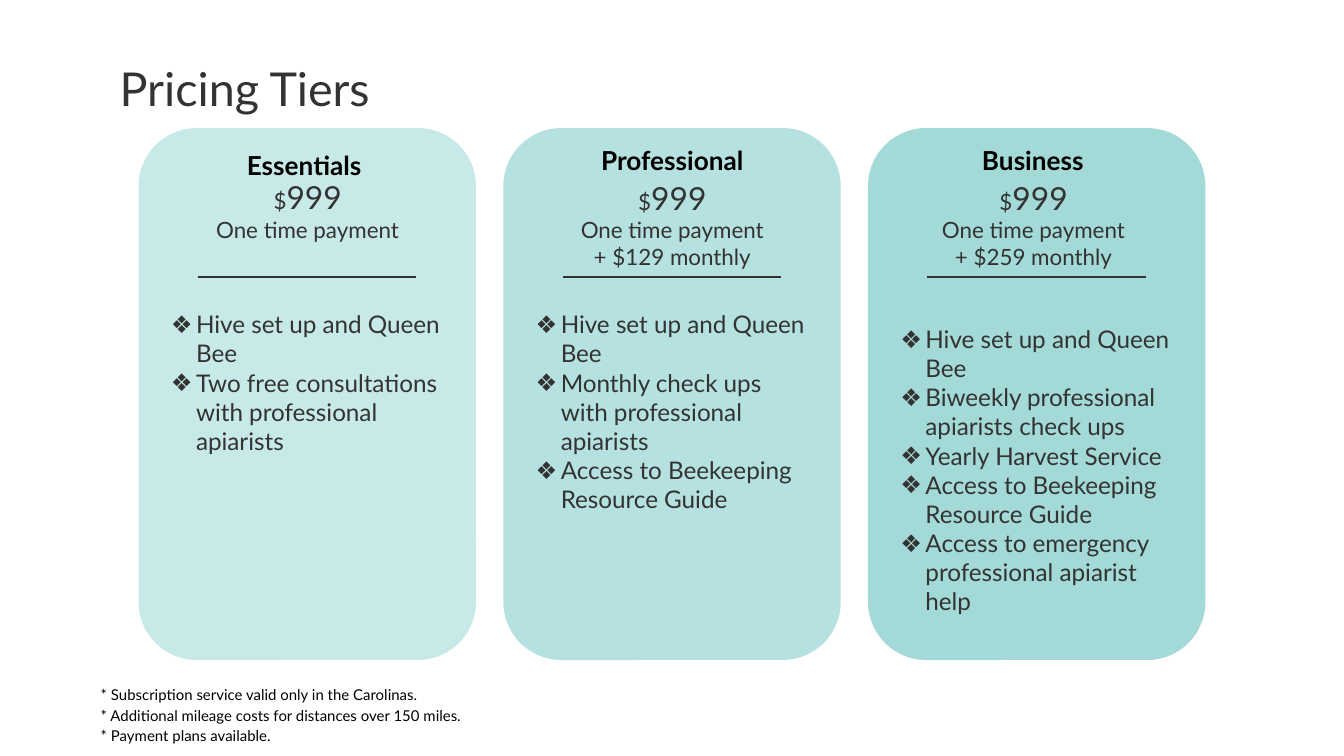
from dataclasses import dataclass

from lxml.etree import SubElement
from pptx import Presentation
from pptx.dml.color import RGBColor
from pptx.enum.shapes import MSO_CONNECTOR, MSO_SHAPE
from pptx.enum.text import MSO_ANCHOR, MSO_AUTO_SIZE, PP_ALIGN
from pptx.oxml.ns import qn
from pptx.util import Pt

PX = 4762.5
FONT = "Lato"
INK = "333333"
BLACK = "000000"
MARGIN = 19
CARD_LEFT, CARD_TOP, CARD_W, CARD_H = 202, 187, 474, 752
CARD_STEP = 521
BULLET_MARGIN, BULLET_INDENT = 36, -42


@dataclass
class Tier:
    """One pricing card; offsets are from the card's corner."""
    name: str
    name_at: tuple[int, int]
    price_at: tuple[int, int]
    terms: list[str]
    fill: str
    features_top: int
    features: list[str]


TIERS = [
    Tier("Essentials", (71, 7), (80, 48), ["One time payment"], "C7EAE8", 232,
         ["Hive set up and Queen Bee",
          "Two free consultations with professional apiarists"]),
    Tier("Professional", (76, 0), (80, 49), ["One time payment", "+ $129 monthly"],
         "B6E1E1", 232,
         ["Hive set up and Queen Bee",
          "Monthly check ups with professional apiarists",
          "Access to Beekeeping Resource Guide"]),
    Tier("Business", (70, 0), (75, 49), ["One time payment", "+ $259 monthly"],
         "A3DAD8", 253,
         ["Hive set up and Queen Bee",
          "Biweekly professional apiarists check ups",
          "Yearly Harvest Service",
          "Access to Beekeeping Resource Guide",
          "Access to emergency professional apiarist help"]),
]
FOOTNOTES = [
    "* Subscription service valid only in the Carolinas.",
    "* Additional mileage costs for distances over 150 miles.",
    "* Payment plans available.",
]


def px(*lengths: int) -> list[int]:
    """Turn px into EMU."""
    return [round(n * PX) for n in lengths]


def rgb(value: str) -> RGBColor:
    """Turn a hex string into a colour."""
    return RGBColor.from_string(value)


def set_frame(tf, top: int = MARGIN) -> None:
    """Wrap and top-anchor a text frame with equal margins."""
    tf.word_wrap = True
    tf.auto_size = MSO_AUTO_SIZE.NONE
    tf.vertical_anchor = MSO_ANCHOR.TOP
    tf.margin_left, tf.margin_right, tf.margin_top, tf.margin_bottom = px(
        MARGIN, MARGIN, top, MARGIN)


def set_font(r, size: int, color: str, bold: bool = False) -> None:
    """Format one run."""
    r.font.name, r.font.size, r.font.bold = FONT, Pt(size), bold
    r.font.color.rgb = rgb(color)


def set_text(tf, lines: list[str], size: int, color: str, bold: bool = False,
             align=PP_ALIGN.LEFT) -> None:
    """Write one paragraph per line and format its runs."""
    tf.text = "\n".join(lines)
    for p in tf.paragraphs:
        p.alignment = align
        for r in p.runs:
            set_font(r, size, color, bold)


def add_box(s, x: int, y: int, w: int, h: int):
    """Add a text box and return its frame."""
    tf = s.shapes.add_textbox(*px(x, y, w, h)).text_frame
    set_frame(tf)
    return tf


def add_bullet(p) -> None:
    """Give a paragraph a hanging diamond bullet."""
    pPr = p._p.get_or_add_pPr()
    margin, indent = px(BULLET_MARGIN, BULLET_INDENT)
    pPr.set("marL", str(margin))
    pPr.set("indent", str(indent))
    color = SubElement(pPr, qn("a:buClr"))
    SubElement(color, qn("a:srgbClr"), val=INK)
    SubElement(pPr, qn("a:buFont"), typeface=FONT)
    SubElement(pPr, qn("a:buChar"), char="❖")


def add_rule(s, x: int, y: int, w: int) -> None:
    """Draw a thin horizontal rule."""
    line = s.shapes.add_connector(MSO_CONNECTOR.STRAIGHT, *px(x, y, x + w, y))
    line.line.color.rgb = rgb(INK)
    line.line.width = Pt(0.75)
    SubElement(line._element.spPr, qn("a:effectLst"))


def add_tier(s, x: int, tier: Tier) -> None:
    """Draw a card with its name, price, rule and features."""
    sp = s.shapes.add_shape(MSO_SHAPE.ROUNDED_RECTANGLE,
                            *px(x, CARD_TOP, CARD_W, CARD_H))
    sp.shadow.inherit = False
    sp.fill.solid()
    sp.fill.fore_color.rgb = rgb(tier.fill)
    sp.line.color.rgb = rgb(tier.fill)
    sp.line.width = Pt(3)
    set_frame(sp.text_frame, tier.features_top)
    set_text(sp.text_frame, tier.features, 13, INK)
    for p in sp.text_frame.paragraphs:
        add_bullet(p)

    dx, dy = tier.name_at
    tf = add_box(s, x + dx, CARD_TOP + dy, 323, 109)
    set_text(tf, [tier.name], 14, BLACK, True, PP_ALIGN.CENTER)

    dx, dy = tier.price_at
    tf = add_box(s, x + dx, CARD_TOP + dy, 315, 88)
    set_text(tf, ["$", *tier.terms], 12, INK, align=PP_ALIGN.CENTER)
    r = tf.paragraphs[0].add_run()
    r.text = "999"
    set_font(r, 17, INK)

    add_rule(s, x + 81, 396, 312)


def main() -> None:
    """Build the pricing slide."""
    prs = Presentation()
    prs.slide_width, prs.slide_height = px(1920, 1080)
    s = prs.slides.add_slide(prs.slide_layouts[5])

    title = s.shapes.title
    title.left, title.top, title.width, title.height = px(152, 66, 1619, 121)
    set_frame(title.text_frame)
    set_text(title.text_frame, ["Pricing Tiers"], 25, INK)

    for i, tier in enumerate(TIERS):
        add_tier(s, CARD_LEFT + i * CARD_STEP, tier)

    tf = add_box(s, 125, 957, 630, 124)
    set_text(tf, FOOTNOTES, 8, BLACK)
    for p in tf.paragraphs:
        p.line_spacing = 1.15

    prs.save("out.pptx")


if __name__ == "__main__":
    main()
